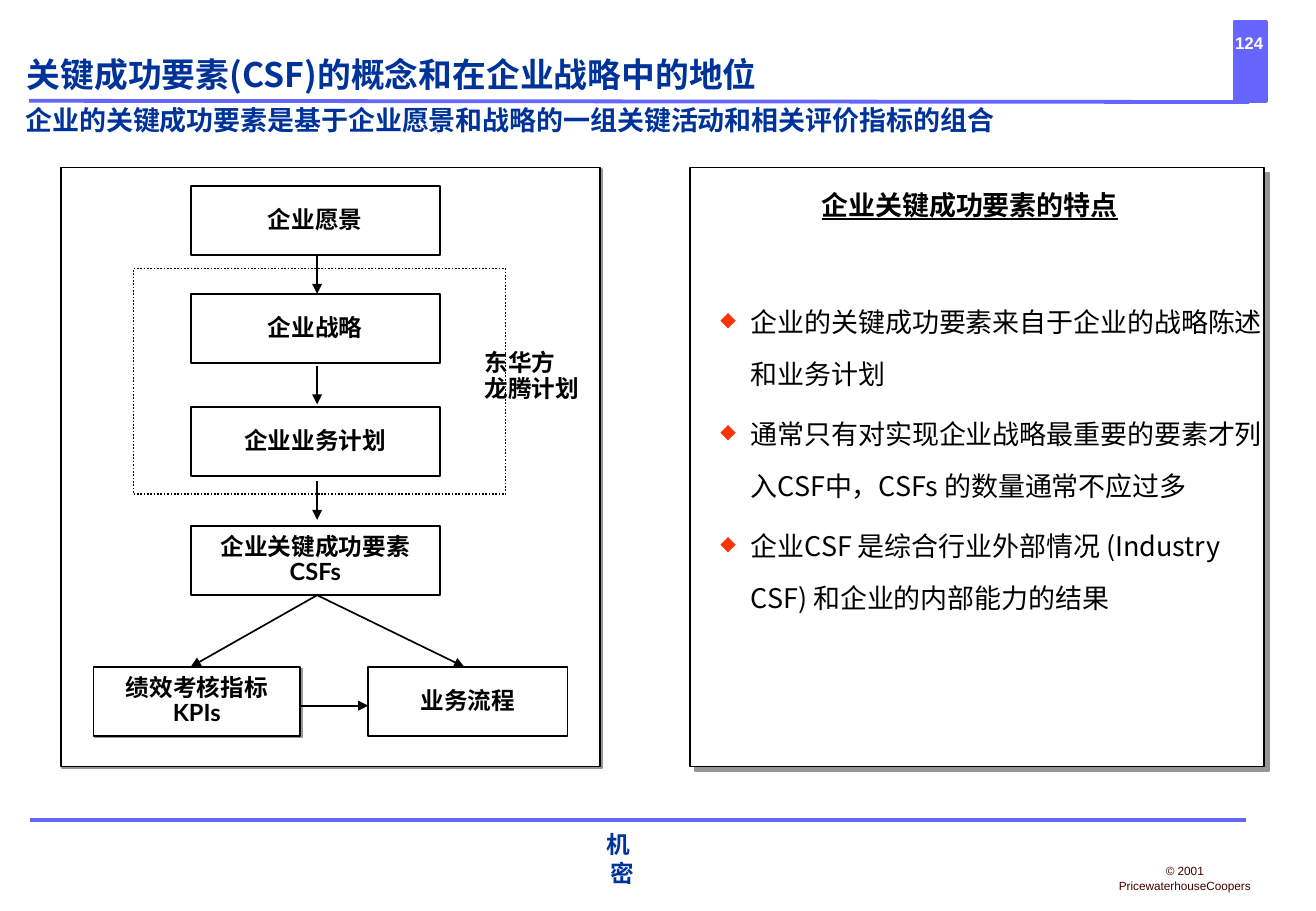
from lxml import etree
from pptx import Presentation
from pptx import util as u
from pptx.dml.color import RGBColor
from pptx.enum import dml, shapes, text
from pptx.oxml import ns

GRID = u.Inches(0.01)  # one column or row
COLUMNS, ROWS = 1083, 750
VIOLET, NAVY, BLACK, WHITE = "6666FF", "003399", "000000", "FFFFFF"
CJK = "Noto Sans CJK SC"
CENTER, LEFT = text.PP_ALIGN.CENTER, text.PP_ALIGN.LEFT
MIDDLE, TOP, BOTTOM = (text.MSO_ANCHOR.MIDDLE, text.MSO_ANCHOR.TOP,
                       text.MSO_ANCHOR.BOTTOM)
INSETS = (10, 5, 10, 5)
NODE_FORMAT = {"size": u.Pt(14), "name": "Lato", "bold": True}


def color(value):
    return RGBColor.from_string(value)


def add_xml(parent, tag, **attributes):
    return etree.SubElement(parent, ns.qn(tag), attributes)


def place(box, left, top, width, height):
    """Turn an area counted from the corner of a box into a slide area."""
    return box[0] + left, box[1] + top, width, height


def write(shape, paragraphs, font, ink=BLACK, align=CENTER, anchor=MIDDLE,
          wrap=False, insets=INSETS, spacing=None):
    frame = shape.text_frame
    margins = (f"margin_{side}" for side in ("left", "top", "right", "bottom"))
    settings = dict(zip(margins, (inset * GRID for inset in insets)))
    settings.update(word_wrap=wrap, vertical_anchor=anchor)
    for name, value in settings.items():
        setattr(frame, name, value)
    frame.text = "\n".join(paragraphs)
    for paragraph in frame.paragraphs:
        paragraph.alignment = align
        paragraph.line_spacing = spacing
        for run in paragraph.runs:
            for name, value in font.items():
                setattr(run.font, name, value)
            run.font.color.rgb = color(ink)
            add_xml(run.font._element, "a:ea", typeface=CJK)
    return frame


def add_text(slide, area, paragraphs, font, **options):
    box = slide.shapes.add_textbox(*(length * GRID for length in area))
    return write(box, paragraphs, font, **options)


def add_box(slide, area, fill=WHITE, line=BLACK, weight=1, shadow=0):
    """Add a rectangle; shadow is its offset in points."""
    shape = slide.shapes.add_shape(shapes.MSO_SHAPE.RECTANGLE,
                                   *(length * GRID for length in area))
    shape.shadow.inherit = False
    if fill:
        shape.fill.solid()
        shape.fill.fore_color.rgb = color(fill)
    else:
        shape.fill.background()
    shape.line.color.rgb = color(line)
    shape.line.width = u.Pt(weight)
    if shadow:
        effects = shape._element.spPr.find(ns.qn("a:effectLst"))
        outer = add_xml(effects, "a:outerShdw", dist=str(u.Pt(shadow)),
                        dir="2700000", algn="ctr", rotWithShape="0")
        add_xml(outer, "a:srgbClr", val="969696")
    return shape


def add_line(slide, start, end, ink=BLACK, weight=1, arrow=False):
    line = slide.shapes.add_connector(
        shapes.MSO_CONNECTOR.STRAIGHT,
        *(length * GRID for length in (*start, *end)))
    line.line.color.rgb = color(ink)
    line.line.width = u.Pt(weight)
    if arrow:
        add_xml(line.line._get_or_add_ln(), "a:tailEnd", type="triangle")
    add_xml(line._element.spPr, "a:effectLst")


def add_header(slide, box):
    flush = {"insets": (0, 0, 0, 0)}
    add_box(slide, place(box, 1016, 18, 26, 65), VIOLET, VIOLET, 2.25)
    add_line(slide, (24, 83), (1028, 84), VIOLET, 2.25)
    add_text(slide, place(box, 993, 25, 70, 20), ["124"],
             {"size": u.Pt(10), "name": "Arial", "bold": True},
             ink=WHITE, **flush)
    headings = [
        ((22, 18, 971, 60), 20, "关键成功要素(CSF)的概念和在企业战略中的地位"),
        ((21, 86, 997, 26), 16,
         "企业的关键成功要素是基于企业愿景和战略的一组关键活动和相关评价指标的组合"),
    ]
    for area, size, words in headings:
        add_text(slide, place(box, *area), [words],
                 {"size": u.Pt(size), "name": CJK, "bold": True}, ink=NAVY,
                 align=LEFT, anchor=BOTTOM, wrap=True, **flush)


def add_footer(slide, box):
    left, top = box[:2]
    add_line(slide, (left, top), (left + box[2], top), VIOLET, 2.25)
    add_text(slide, place(box, 869, 37, 162, 22),
             ["© 2001 PricewaterhouseCoopers"],
             {"size": u.Pt(7), "name": "Arial"}, ink="440000")
    frame = add_text(slide, place(box, 451, 15, 72, 34), ["机 密"],
                     {"size": u.Pt(14), "name": "Arial", "bold": True},
                     ink=NAVY)
    frame.paragraphs[0].runs[0].font._element.set("spc", "400")


def add_flow(slide, box):
    """Draw the chain from vision to success factors and its two results."""
    add_box(slide, box, shadow=1.4)
    middle, height, results = 211, 57, 411
    chain = [(15, ["企业愿景"]), (104, ["企业战略"]), (197, ["企业业务计划"]),
             (295, ["企业关键成功要素", "CSFs"])]
    nodes = [(107, top, 205, 0, words) for top, words in chain]
    nodes += [(27, results, 170, 1.4, ["绩效考核指标", "KPIs"]),
              (253, results, 164, 0, ["业务流程"])]
    for left, top, width, shadow, words in nodes:
        node = add_box(slide, place(box, left, top, width, height),
                       shadow=shadow)
        write(node, words, NODE_FORMAT, spacing=0.9)

    arrows = [((middle, top), (middle, top + 32)) for top in (72, 163, 258)]
    arrows += [((middle, 352), (end, results)) for end in (107, 332)]
    arrows.append(((197, 443), (253, 443)))
    for ends in arrows:
        start, end = ((box[0] + x, box[1] + y) for x, y in ends)
        add_line(slide, start, end, arrow=True)

    plan = add_box(slide, place(box, 60, 83, 306, 186), fill=None)
    plan.line.dash_style = dml.MSO_LINE.ROUND_DOT
    add_text(slide, place(box, 339, 146, 126, 52), ["东华方\v龙腾计划"],
             NODE_FORMAT, align=LEFT, wrap=True, spacing=0.9)


def add_features(slide, box):
    add_box(slide, box, shadow=4.2)
    add_text(slide, place(box, 98, 15, 264, 34), ["企业关键成功要素的特点"],
             {"size": u.Pt(16), "name": "Lato", "bold": True,
              "underline": True}, anchor=TOP, spacing=0.9)
    features = [
        "企业的关键成功要素来自于企业的战略陈述和业务计划",
        "通常只有对实现企业战略最重要的要素才列入CSF中，CSFs 的数量通常不应过多",
        "企业CSF 是综合行业外部情况 (Industry CSF) 和企业的内部能力的结果",
    ]
    frame = add_text(slide, place(box, 15, 93, 467, 273), features,
                     {"size": u.Pt(16), "name": CJK}, align=LEFT,
                     anchor=TOP, wrap=True, spacing=1.6)
    for number, paragraph in enumerate(frame.paragraphs):
        if number:
            paragraph.space_before = u.Pt(5)
        properties = paragraph._p.get_or_add_pPr()
        properties.set("marL", str(25 * GRID))
        properties.set("indent", str(-25 * GRID))
        add_xml(add_xml(properties, "a:buClr"), "a:srgbClr", val="FF3300")
        add_xml(properties, "a:buSzPct", val="75000")
        add_xml(properties, "a:buChar", char="◆")


def main():
    presentation = Presentation()
    presentation.slide_width = COLUMNS * GRID
    presentation.slide_height = ROWS * GRID
    slide = presentation.slides.add_slide(presentation.slide_layouts[6])
    add_header(slide, (0, 0, COLUMNS, 112))
    add_footer(slide, (25, 675, 1000, 75))
    add_flow(slide, (50, 138, 444, 493))
    add_features(slide, (568, 138, 472, 493))
    presentation.save("out.pptx")


if __name__ == "__main__":
    main()
